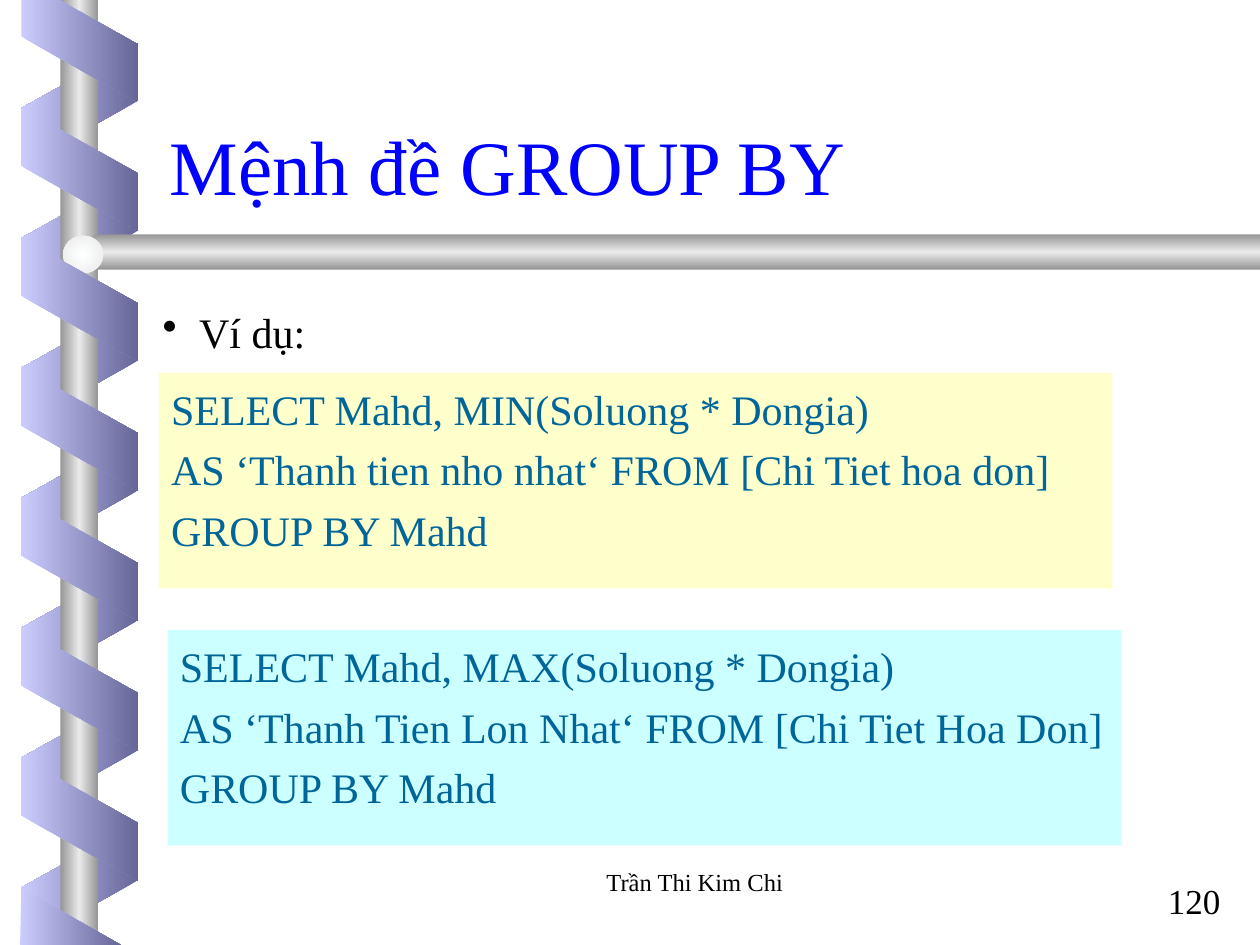
from lxml import etree
from pptx import Presentation
from pptx.dml.color import RGBColor
from pptx.enum.shapes import MSO_SHAPE as Shape
from pptx.enum.text import MSO_ANCHOR as Anchor, PP_ALIGN as Align
from pptx.oxml import parse_xml
from pptx.oxml.ns import qn
from pptx.util import Inches, Pt

COLUMNS, ROWS = 100, 75
CELL = Inches(0.1)
FONT = "Times New Roman"
SPACE = "http://schemas.openxmlformats.org/drawingml/2006/main"
LIGHT, DARK = "CCCCFF", "666699"
METAL = ["969696", "EAEAEA", "969696"]
PITCH = 10.31


def color(value):
    """Turn a hex string into a colour."""
    return RGBColor.from_string(value)


def cells(*values):
    """Turn grid counts into slide lengths."""
    return [round(value * CELL) for value in values]


def shade(shape, colors, angle=0, radial=False):
    """Fill a shape with evenly spaced colours that stay fixed to the page."""
    stops = "".join(
        f'<a:gs pos="{100000 * index // (len(colors) - 1)}"><a:srgbClr val="{value}"/></a:gs>'
        for index, value in enumerate(colors))
    course = f'<a:lin ang="{angle * 60000}" scaled="0"/>'
    if radial:
        course = ('<a:path path="circle"><a:fillToRect l="50000" t="50000" '
                  'r="50000" b="50000"/></a:path>')
    shape.fill.gradient()
    properties = shape.element.spPr
    properties.replace(properties.find(qn("a:gradFill")), parse_xml(
        f'<a:gradFill xmlns:a="{SPACE}" rotWithShape="0"><a:gsLst>{stops}</a:gsLst>{course}</a:gradFill>'))


def plain(shape):
    """Remove the outline and shadow of a shape."""
    shape.shadow.inherit = False
    shape.line.fill.background()
    return shape


def add_preset(page, kind, box, adjust=None, flip=False):
    """Place a plain preset shape in a grid box."""
    shape = plain(page.shapes.add_shape(kind, *cells(*box)))
    if adjust is not None:
        shape.adjustments[0] = adjust
    if flip:
        shape.element.spPr.find(qn("a:xfrm")).set("flipH", "1")
    return shape


def add_strand(page, left, top, count, rotation, colors, flip=False):
    """Stack slanted ribbon pieces at an equal pitch."""
    for index in range(count):
        box = (left, top + index * PITCH, 9.8, 9.3)
        piece = add_preset(page, Shape.PARALLELOGRAM, box, 0.56, flip)
        piece.rotation = rotation
        shade(piece, colors)


def add_ribbon_end(page, points):
    """Draw a ribbon piece cut off by the slide edge."""
    start, *rest = [cells(*point) for point in points]
    builder = page.shapes.build_freeform(*start)
    builder.add_line_segments(rest, close=True)
    shade(plain(builder.convert_to_shape()), [LIGHT, DARK])


def add_spiral(page, left):
    """Wind the ribbon around the pole and set the bar beside it."""
    add_strand(page, left, 3.65, 7, 90, [DARK, LIGHT], flip=True)
    shade(add_preset(page, Shape.RECTANGLE, (left + 3.4, 0, 3, ROWS)), METAL)
    bar = (left + 4.6, 18.6, COLUMNS - left - 4.6, 2.8)
    shade(add_preset(page, Shape.PENTAGON, bar, 0.59, flip=True), METAL, 90)
    ball = add_preset(page, Shape.OVAL, (left + 3.6, 18.7, 3.2, 3))
    shade(ball, ["FEFFFF", "EAEAEA"], radial=True)
    add_strand(page, left, 8.8, 6, 270, [LIGHT, DARK])
    add_ribbon_end(page, [(1.7, 0), (1.7, 2.9), (10.9, 8.1), (10.9, 3.5), (4.7, 0)])
    add_ribbon_end(page, [(9.6, ROWS), (1.7, 70.5), (1.6, ROWS)])


def write(shape, lines, size, value, align=Align.LEFT, anchor=Anchor.TOP, gap=0):
    """Write and format the lines of a shape."""
    frame = shape.text_frame
    frame.word_wrap = True
    frame.vertical_anchor = anchor
    frame.text = "\n".join(lines)
    for index, para in enumerate(frame.paragraphs):
        para.alignment = align
        para.space_before = Pt(gap if index else 0)
        for span in para.runs:
            span.font.size, span.font.name = Pt(size), FONT
            span.font.color.rgb = color(value)
    return frame


def add_label(page, box, text, size, value="000000", **layout):
    """Place a line of text in a grid box."""
    return write(page.shapes.add_textbox(*cells(*box)), [text], size, value, **layout)


def add_bullet(page, box, text):
    """Place a bulleted line in a grid box."""
    frame = add_label(page, box, text, 24, align=Align.JUSTIFY)
    frame.margin_left, frame.margin_top = cells(2, 1.4)
    para = frame.paragraphs[0]
    para.line_spacing = 1.1
    properties = para._p.get_or_add_pPr()
    indent = Inches(0.29)
    properties.set("marL", str(indent))
    properties.set("indent", str(-indent))
    etree.SubElement(properties, qn("a:buChar")).set("char", "•")


def add_query(page, box, fill, lines):
    """Place a coloured panel holding a query."""
    panel = add_preset(page, Shape.RECTANGLE, box)
    panel.fill.solid()
    panel.fill.fore_color.rgb = color(fill)
    frame = write(panel, lines, 24, "006699", align=Align.JUSTIFY, gap=6)
    frame.margin_top = Inches(0.08)


def main():
    """Build and save the slide."""
    deck = Presentation()
    deck.slide_width, deck.slide_height = cells(COLUMNS, ROWS)
    page = deck.slides.add_slide(deck.slide_layouts[6])
    add_spiral(page, 1.4)
    add_label(page, (91.7, 69.3, 8.3, 4.3), "120", 20)
    add_label(page, (12.5, 8.9, 85, 8.3), "Mệnh đề GROUP BY", 44, "0000FF",
              anchor=Anchor.BOTTOM)
    add_bullet(page, (10.9, 22.5, 85.7, 6), "Ví dụ:")
    add_query(page, (12.6, 29.6, 75.7, 17.1), "FFFFCC", [
        "SELECT Mahd, MIN(Soluong * Dongia)",
        "AS ‘Thanh tien nho nhat‘ FROM [Chi Tiet hoa don]",
        "GROUP BY Mahd"])
    add_query(page, (13.3, 50, 75.7, 17.1), "CCFFFF", [
        "SELECT Mahd, MAX(Soluong * Dongia)",
        "AS ‘Thanh Tien Lon Nhat‘ FROM [Chi Tiet Hoa Don]",
        "GROUP BY Mahd"])
    add_label(page, (39.3, 68.3, 31.7, 5), "Trần Thi Kim Chi", 14, align=Align.CENTER)
    deck.save("out.pptx")


if __name__ == "__main__":
    main()
